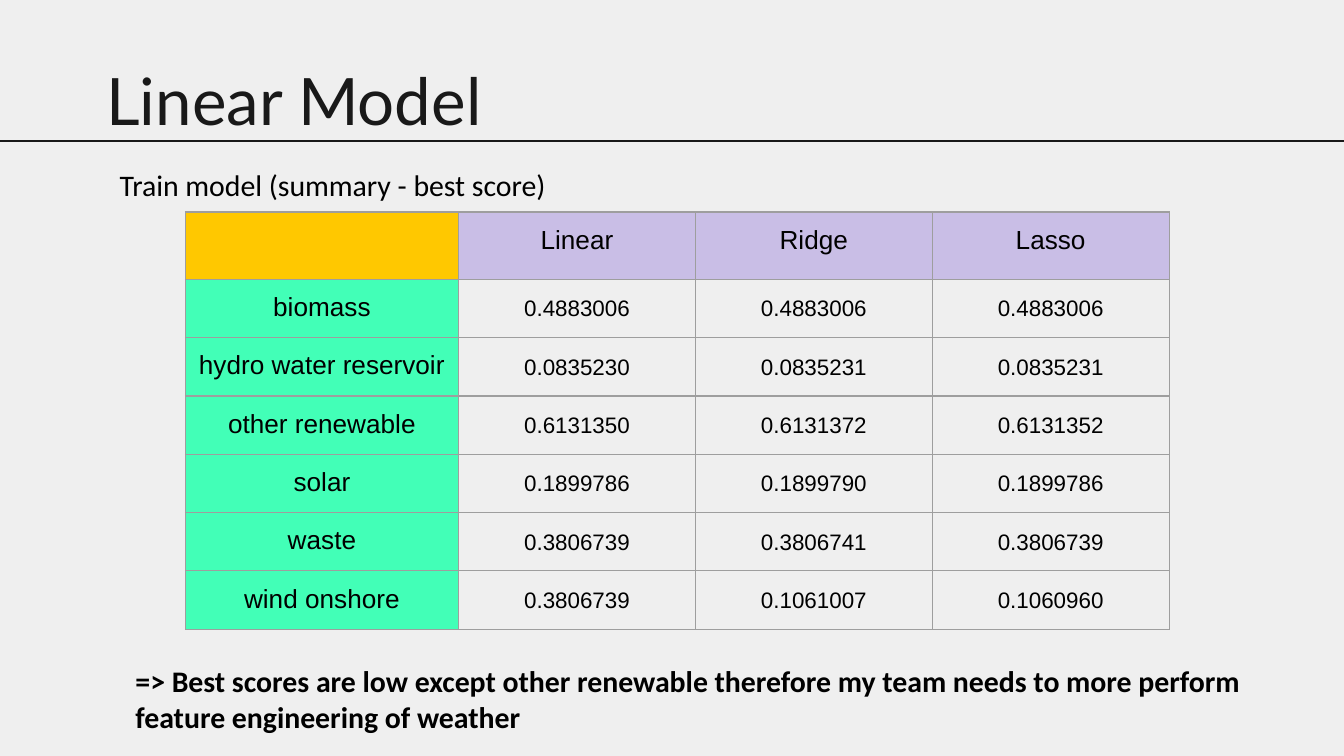
"""Build the Linear Model slide with its table of best scores."""
from lxml import etree
from pptx import Presentation, util as u
from pptx.dml.color import RGBColor
from pptx.enum import shapes, text
from pptx.oxml import parse_xml
from pptx.oxml.ns import nsdecls, qn


def rgb(value):
    """Turn a hex string into a colour."""
    return RGBColor.from_string(value)


def write(tf, content, color="000000", align=text.PP_ALIGN.LEFT, spacing=1.0, **font):
    """Write one formatted paragraph into a text frame."""
    p = tf.paragraphs[0]
    p.alignment, p.line_spacing = align, spacing
    r = p.add_run()
    r.text = content
    r.font.color.rgb = rgb(color)
    for key, value in font.items():
        setattr(r.font, key, value)


prs = Presentation()
prs.slide_width, prs.slide_height = u.Pt(720), u.Pt(405)
s = prs.slides.add_slide(prs.slide_layouts[5])
s.background.fill.solid()
s.background.fill.fore_color.rgb = rgb("EFEFEF")

title = s.shapes.title
box = {"left": 57, "top": 32, "width": 663.5 - 57, "height": 36}
for key, value in box.items():
    setattr(title, key, u.Pt(value))
tf = title.text_frame
frame = {"margin_left": 0, "margin_top": 0, "margin_right": 0, "margin_bottom": 0,
         "word_wrap": True, "auto_size": text.MSO_AUTO_SIZE.NONE,
         "vertical_anchor": text.MSO_ANCHOR.TOP}
for key, value in frame.items():
    setattr(tf, key, value)
write(tf, "Linear Model", "191919", name="Lato", size=u.Pt(35))

rule = s.shapes.add_connector(shapes.MSO_CONNECTOR.STRAIGHT,
                              u.Pt(-2), u.Pt(75.6), u.Pt(723), u.Pt(75.6))
rule.line.color.rgb = rgb("191919")
rule.line.width = u.Pt(1.5)
etree.SubElement(rule._element.spPr, qn("a:effectLst"))

margins = {"margin_" + side: u.Pt(7.2) for side in ("left", "top", "right", "bottom")}
notes = [
    ("Train model (summary - best score)", (57, 82, 613, 34), False),
    ("=> Best scores are low except other renewable therefore my team needs to "
     "more perform feature engineering of weather", (65.5, 347.8, 638.6, 53.3), True),
]
for content, place, bold in notes:
    tf = s.shapes.add_textbox(*map(u.Pt, place)).text_frame
    frame = {**margins, "word_wrap": True, "auto_size": text.MSO_AUTO_SIZE.SHAPE_TO_FIT_TEXT}
    for key, value in frame.items():
        setattr(tf, key, value)
    write(tf, content, name="Calibri", size=u.Pt(16), bold=bold)

rows = [
    ("", "Linear", "Ridge", "Lasso"),
    ("biomass", "0.4883006", "0.4883006", "0.4883006"),
    ("hydro water reservoir", "0.0835230", "0.0835231", "0.0835231"),
    ("other renewable", "0.6131350", "0.6131372", "0.6131352"),
    ("solar", "0.1899786", "0.1899790", "0.1899786"),
    ("waste", "0.3806739", "0.3806741", "0.3806739"),
    ("wind onshore", "0.3806739", "0.1061007", "0.1060960"),
]
widths = [146.4] + [126.9] * 3
heights = [36] + [31.2] * 6
tbl = s.shapes.add_table(len(rows), len(widths), u.Pt(99.3), u.Pt(113.6),
                         u.Pt(sum(widths)), u.Pt(sum(heights))).table
tbl.first_row = tbl.horz_banding = False
for column, width in zip(tbl.columns, widths):
    column.width = u.Pt(width)
for row, height in zip(tbl.rows, heights):
    row.height = u.Pt(height)

for i, row in enumerate(rows):
    for j, content in enumerate(row):
        cell = tbl.cell(i, j)
        for key, value in margins.items():
            setattr(cell, key, value)
        for side in "LRTB":
            cell._tc.get_or_add_tcPr().append(parse_xml(
                f'<a:ln{side} {nsdecls("a")} w="{u.Pt(0.75)}"><a:solidFill>'
                f'<a:srgbClr val="9E9E9E"/></a:solidFill></a:ln{side}>'))
        score = i > 0 and j > 0
        if score:
            cell.fill.background()
        else:
            cell.fill.solid()
            cell.fill.fore_color.rgb = rgb("42FFB7" if i else "C9BEE6" if j else "FFC800")
        if content:
            write(cell.text_frame, content, align=text.PP_ALIGN.CENTER,
                  spacing=1.15 if score else 1.0, name="Arial", size=u.Pt(12 if score else 14))

prs.save("out.pptx")
